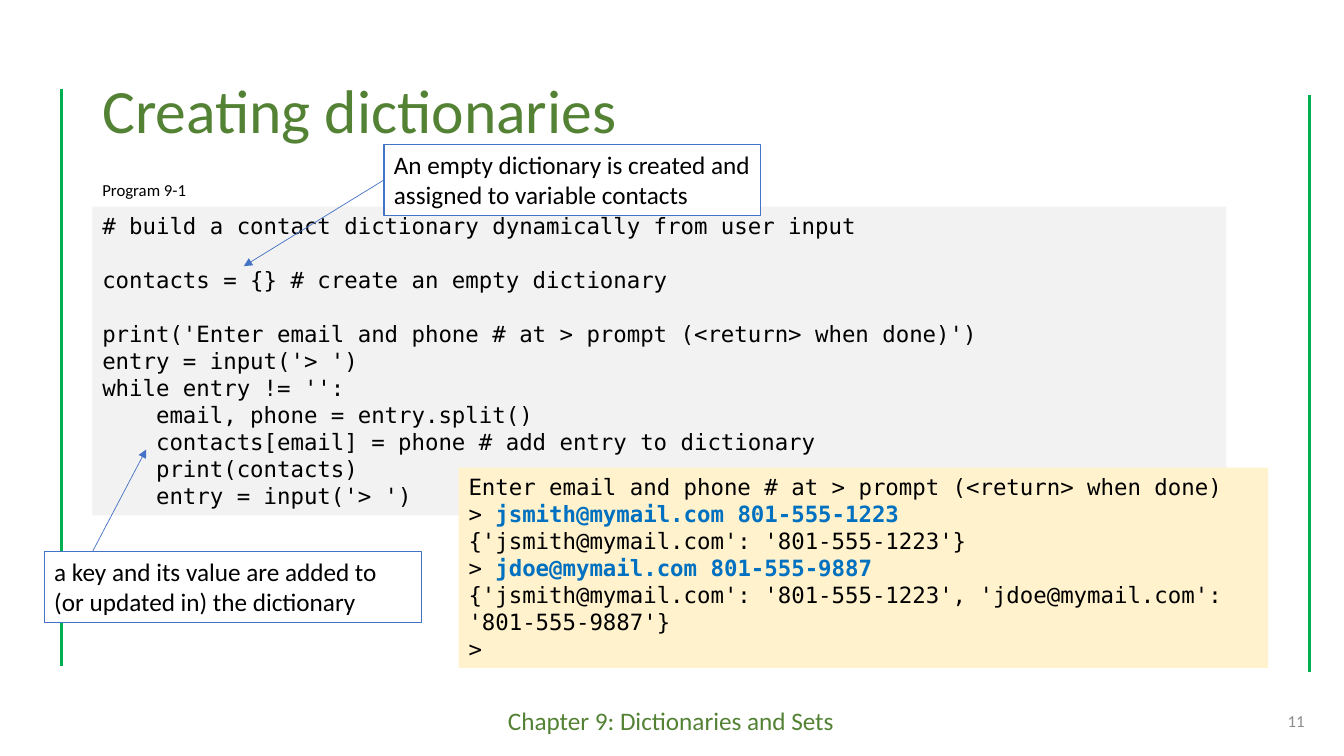
"""Build the slide on creating dictionaries, with its program, output and callouts."""
import pptx
import pptx.dml.color
import pptx.enum.shapes
import pptx.enum.text
import pptx.oxml
import pptx.util

Pt = pptx.util.Pt
ALIGN = pptx.enum.text.PP_ALIGN
ANCHOR = pptx.enum.text.MSO_ANCHOR
STRAIGHT = pptx.enum.shapes.MSO_CONNECTOR.STRAIGHT
RECTANGLE = pptx.enum.shapes.MSO_SHAPE.RECTANGLE

THEME = {
    "heading": {"name": "Calibri", "size": 44, "color": "548235"},
    "footer": {"name": "Calibri", "size": 18, "color": "548235"},
    "number": {"name": "Calibri", "size": 12, "color": "8C8C8C"},
    "caption": {"name": "Calibri", "size": 12, "color": "000000"},
    "callout": {"name": "Calibri", "size": 18, "color": "000000"},
    "code": {"name": "DejaVu Sans Mono", "size": 16, "color": "000000"},
    "typed": {"name": "DejaVu Sans Mono", "size": 16, "color": "0070C0", "bold": True},
    "rule": "00B050",
    "accent": "4472C4",
    "program": "F2F2F2",
    "output": "FFF2CC",
    "paper": "FFFFFF",
}
CODE_LINE = 19.3
PROMPT = "> "

PROGRAM = """# build a contact dictionary dynamically from user input

contacts = {} # create an empty dictionary

print('Enter email and phone # at > prompt (<return> when done)')
entry = input('> ')
while entry != '':
    email, phone = entry.split()
    contacts[email] = phone # add entry to dictionary
    print(contacts)
    entry = input('> ')"""
OUTPUT = """Enter email and phone # at > prompt (<return> when done)
> jsmith@mymail.com 801-555-1223
{'jsmith@mymail.com': '801-555-1223'}
> jdoe@mymail.com 801-555-9887
{'jsmith@mymail.com': '801-555-1223', 'jdoe@mymail.com': '801-555-9887'}
>"""
LABELS = [
    ("Chapter 9: Dictionaries and Sets", "footer", (355.7, 500.4, 248.4, 28.8), {}, {}),
    ("Creating dictionaries", "heading", (66, 28.8, 828, 104.4),
     {"vertical_anchor": ANCHOR.MIDDLE}, {"line_spacing": 0.9}),
    ("11", "number", (723, 500.4, 216, 28.8),
     {"vertical_anchor": ANCHOR.MIDDLE}, {"alignment": ALIGN.RIGHT}),
]
CAPTION = ("Program 9-1", "caption", (66, 124.6, 146.2, 21.6), {}, {})
CODE_PANELS = [
    (PROGRAM, "program", (66, 147.6, 810, 220.6)),
    (OUTPUT, "output", (327.6, 334.1, 578.2, 143.1)),
]
RULES = [(43.9, 63.4), (935.3, 67.7)]
RULE_HEIGHT = 412.6
CALLOUT_SIZE = (269.3, 51.1)
CALLOUTS = [
    ("An empty dictionary is created and assigned to variable contacts",
     (274.3, 103), (274.3, 128.5), (174.2, 190.1), 1),
    ("a key and its value are added to (or updated in) the dictionary",
     (31.7, 393.8), (66.2, 393.8), (104.4, 321.1), None),
]


def rgb(color):
    return pptx.dml.color.RGBColor.from_string(color)


def apply(target, values):
    for name, value in values.items():
        setattr(target, name, value)


def add_run(paragraph, text, style):
    run = paragraph.add_run()
    run.text = text
    look = dict(THEME[style])
    run.font.color.rgb = rgb(look.pop("color"))
    apply(run.font, {**look, "size": Pt(look["size"])})


def add_label(slide, text, style, box, frame_format, paragraph_format):
    frame = slide.shapes.add_textbox(*map(Pt, box)).text_frame
    apply(frame, {"word_wrap": True, **frame_format})
    apply(frame.paragraphs[0], paragraph_format)
    add_run(frame.paragraphs[0], text, style)


def add_panel(slide, box, fill, line=None):
    panel = slide.shapes.add_shape(RECTANGLE, *map(Pt, box))
    panel.shadow.inherit = False
    panel.fill.solid()
    panel.fill.fore_color.rgb = rgb(fill)
    if line:
        panel.line.color.rgb = rgb(line)
        panel.line.width = Pt(0.75)
    else:
        panel.line.fill.background()
    apply(panel.text_frame, {"word_wrap": True, "vertical_anchor": ANCHOR.TOP})
    panel.text_frame.paragraphs[0].alignment = ALIGN.LEFT
    return panel


def add_code(slide, code, fill, box):
    frame = add_panel(slide, box, THEME[fill]).text_frame
    paragraph, gap = frame.paragraphs[0], 0
    for index, line in enumerate(code.splitlines()):
        if not line:
            gap += CODE_LINE
            continue
        if index:
            paragraph = frame.add_paragraph()
        apply(paragraph, {"alignment": ALIGN.LEFT, "line_spacing": Pt(CODE_LINE),
                          "space_before": Pt(gap)})
        gap = 0
        if line.startswith(PROMPT):
            add_run(paragraph, PROMPT, "code")
            add_run(paragraph, line.removeprefix(PROMPT), "typed")
        else:
            add_run(paragraph, line, "code")


def add_line(slide, start, end, color, width, arrow=False):
    line = slide.shapes.add_connector(STRAIGHT, *map(Pt, (*start, *end)))
    line.line.color.rgb = rgb(color)
    line.line.width = Pt(width)
    namespace = pptx.oxml.ns.nsdecls("a")
    if arrow:
        line.line._get_or_add_ln().append(
            pptx.oxml.parse_xml(f'<a:tailEnd {namespace} type="triangle"/>'))
    line._element.spPr.append(pptx.oxml.parse_xml(f"<a:effectLst {namespace}/>"))
    return line


def add_callout(slide, text, corner, start, end, side):
    panel = add_panel(slide, (*corner, *CALLOUT_SIZE), THEME["paper"], THEME["accent"])
    add_run(panel.text_frame.paragraphs[0], text, "callout")
    arrow = add_line(slide, start, end, THEME["accent"], 0.5, arrow=True)
    if side is not None:
        arrow.begin_connect(panel, side)


def main():
    presentation = pptx.Presentation()
    apply(presentation, {"slide_width": Pt(960), "slide_height": Pt(540)})
    slide = presentation.slides.add_slide(presentation.slide_layouts[6])
    for left, top in RULES:
        add_line(slide, (left, top), (left, top + RULE_HEIGHT), THEME["rule"], 2.25)
    for label in LABELS:
        add_label(slide, *label)
    for panel in CODE_PANELS:
        add_code(slide, *panel)
    add_label(slide, *CAPTION)
    for callout in CALLOUTS:
        add_callout(slide, *callout)
    presentation.save("out.pptx")


if __name__ == "__main__":
    main()
